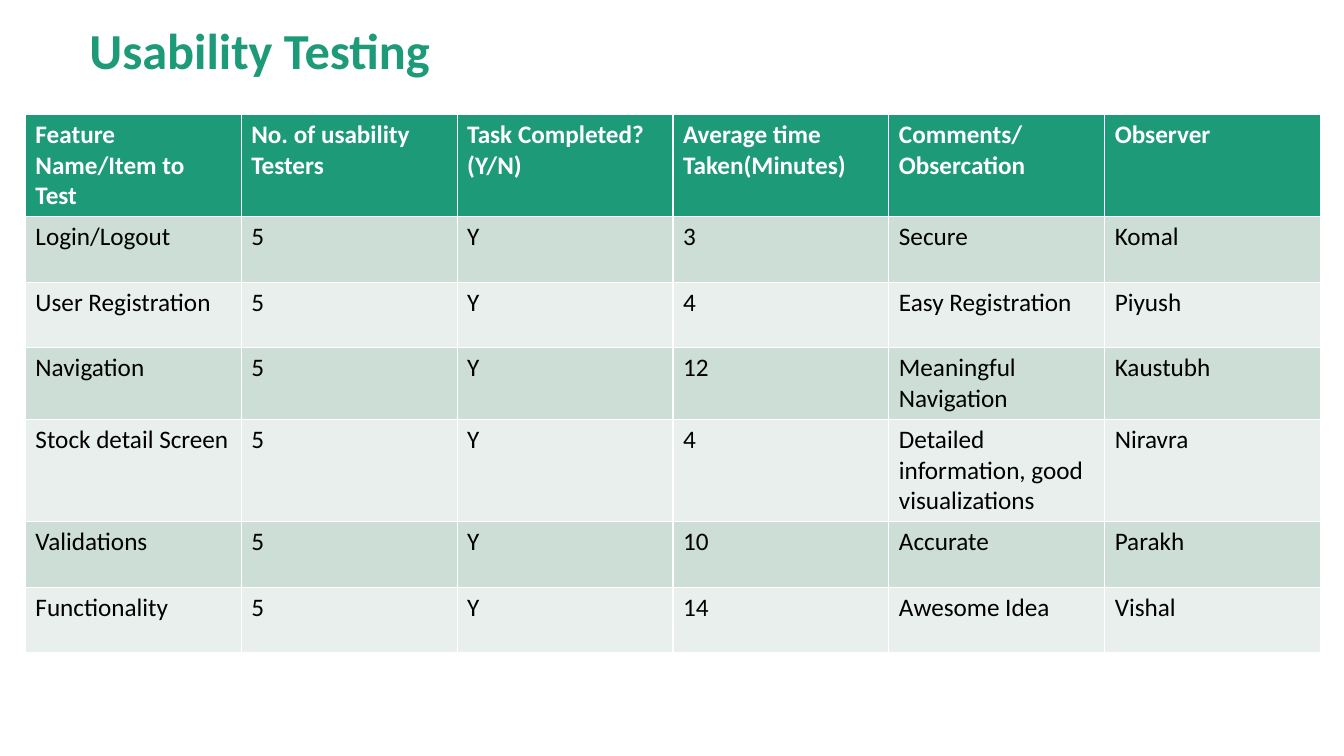
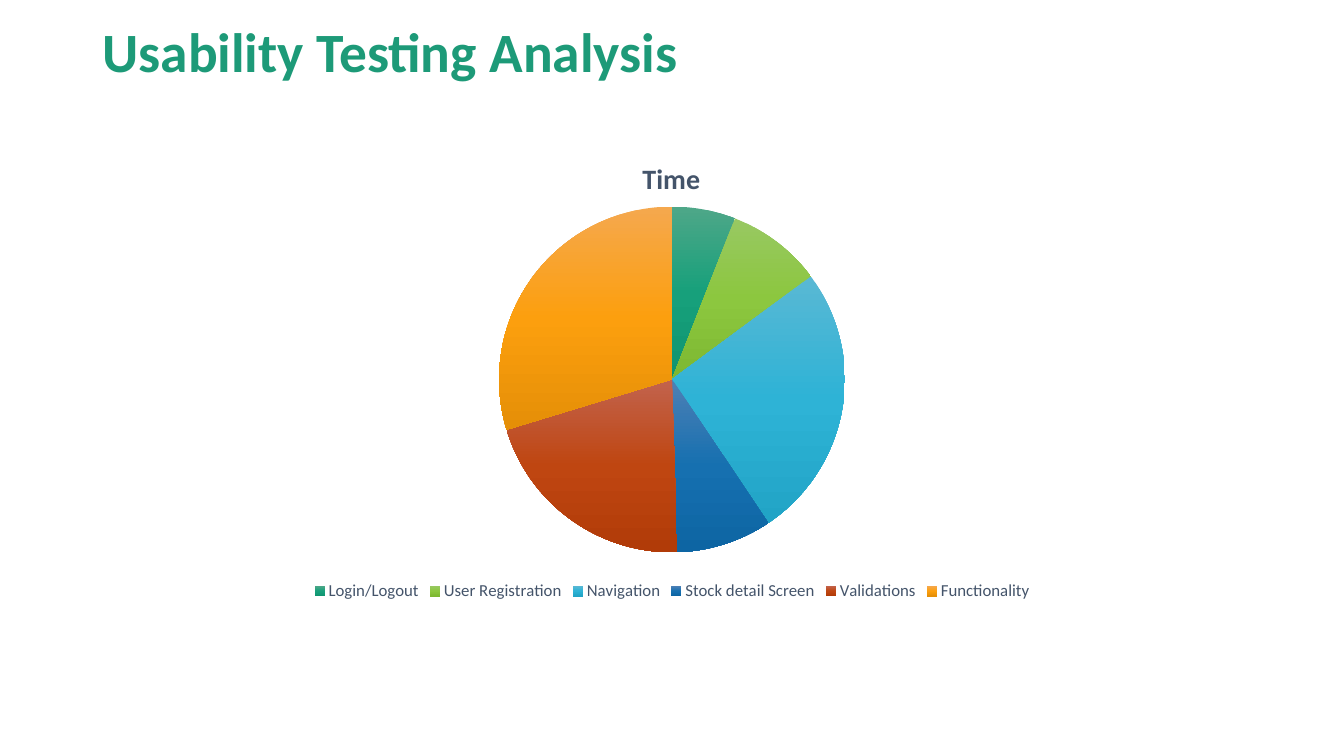
from pptx import Presentation
from pptx.chart import data as chart_data
from pptx.dml.color import RGBColor
from pptx.enum import chart as chart_enum, text
from pptx.oxml import parse_xml
from pptx.oxml.ns import nsdecls
from pptx.util import Cm, Pt

FONT = "Calibri"
GREEN = RGBColor(0x1D, 0x9A, 0x78)
BAND_DARK = RGBColor(0xCD, 0xDE, 0xD6)
BAND_LIGHT = RGBColor(0xE8, 0xEF, 0xEC)
WHITE = RGBColor(0xFF, 0xFF, 0xFF)
BLACK = RGBColor(0x00, 0x00, 0x00)
SLATE = RGBColor(0x44, 0x54, 0x6A)

HEADERS = ["Feature Name/Item to Test", "No. of usability Testers", "Task Completed?(Y/N)",
           "Average time Taken(Minutes)", "Comments/Obsercation", "Observer"]
TESTS = [
    ["Login/Logout", "5", "Y", "3", "Secure", "Komal"],
    ["User Registration", "5", "Y", "4", "Easy Registration", "Piyush"],
    ["Navigation", "5", "Y", "12", "Meaningful Navigation", "Kaustubh"],
    ["Stock detail Screen", "5", "Y", "4", "Detailed information, good visualizations", "Niravra"],
    ["Validations", "5", "Y", "10", "Accurate", "Parakh"],
    ["Functionality", "5", "Y", "14", "Awesome Idea", "Vishal"],
]
TIME_SHARES = [6, 9, 26, 9, 21, 30]
SLICE_GRADIENTS = [
    ("4EA788", "17A07B", "0F9470"),
    ("98C862", "8CC73F", "7DB831"),
    ("59B8D4", "2EB3D6", "21A4C6"),
    ("4E80B5", "1670B0", "0D65A3"),
    ("C2634D", "BF4611", "B13B08"),
    ("F5A84E", "FC9F0E", "E58F07"),
]


def style_font(font, size, color, bold=False):
    font.name = FONT
    font.size = Pt(size)
    font.bold = bold
    font.color.rgb = color


def add_titled_slide(title_text, left, top, height, size):
    slide = presentation.slides.add_slide(presentation.slide_layouts[5])
    title = slide.shapes.title
    title.left, title.top, title.width, title.height = Cm(left), Cm(top), Cm(29.21), Cm(height)
    frame = title.text_frame
    frame.text = title_text
    frame.auto_size = text.MSO_AUTO_SIZE.NONE
    frame.vertical_anchor = text.MSO_ANCHOR.MIDDLE
    paragraph = frame.paragraphs[0]
    paragraph.alignment = text.PP_ALIGN.LEFT
    paragraph.line_spacing = 0.9
    style_font(paragraph.runs[0].font, size, GREEN, True)
    return slide


presentation = Presentation()
presentation.slide_width = Cm(33.87)
presentation.slide_height = Cm(19.05)

slide = add_titled_slide("Usability Testing", 2, 0.5, 1.7, 36)
rows = [HEADERS] + TESTS
table = slide.shapes.add_table(len(rows), len(HEADERS), Cm(0.64), Cm(2.88),
                               Cm(32.64), Cm(11.55)).table
for column in table.columns:
    column.width = Cm(5.44)
for row_index, row in enumerate(rows):
    table.rows[row_index].height = Cm(1.65)
    is_header = row_index == 0
    band = BAND_DARK if row_index % 2 else BAND_LIGHT
    for column_index, value in enumerate(row):
        cell = table.cell(row_index, column_index)
        cell.fill.solid()
        cell.fill.fore_color.rgb = GREEN if is_header else band
        cell.text_frame.text = value
        style_font(cell.text_frame.paragraphs[0].runs[0].font, 18,
                   WHITE if is_header else BLACK, is_header)

slide = add_titled_slide("Usability Testing Analysis", 2.33, 0.78, 1.18, 39.6)
time_data = chart_data.CategoryChartData()
time_data.categories = [row[0] for row in TESTS]
time_data.add_series("Time", TIME_SHARES)
chart = slide.shapes.add_chart(chart_enum.XL_CHART_TYPE.PIE, Cm(2.33), Cm(3.15),
                               Cm(29.21), Cm(12.1), time_data).chart
style_font(chart.font, 10, BLACK)
chart.has_title = True
title_frame = chart.chart_title.text_frame
title_frame.text = "Time"
style_font(title_frame.paragraphs[0].runs[0].font, 20, SLATE, True)
chart.has_legend = True
chart.legend.position = chart_enum.XL_LEGEND_POSITION.BOTTOM
chart.legend.include_in_layout = False
style_font(chart.legend.font, 12, SLATE)

plot = chart.plots[0]
plot.vary_by_categories = True
for index, colors in enumerate(SLICE_GRADIENTS):
    plot.series[0].points[index].format.line.fill.background()
    stops = "".join(f'<a:gs pos="{position}"><a:srgbClr val="{color}"/></a:gs>'
                    for position, color in zip((0, 50000, 100000), colors))
    gradient = parse_xml(f'<a:gradFill {nsdecls("a")} rotWithShape="1"><a:gsLst>{stops}</a:gsLst>'
                         '<a:lin ang="5400000" scaled="0"/></a:gradFill>')
    chart._chartSpace.xpath(".//c:dPt/c:spPr")[index].insert(0, gradient)

LAYOUTS = [
    ("c:title", '<c:xMode val="edge"/><c:yMode val="edge"/><c:x val="0.47"/><c:y val="0.06"/>'),
    ("c:plotArea", '<c:layoutTarget val="inner"/><c:xMode val="edge"/><c:yMode val="edge"/>'
                   '<c:x val="0.35"/><c:y val="0.17"/><c:w val="0.3"/><c:h val="0.72"/>'),
]
for tag, settings in LAYOUTS:
    element = chart._chartSpace.xpath(f"c:chart/{tag}")[0]
    for old_layout in element.xpath("c:layout"):
        element.remove(old_layout)
    layout = parse_xml(f'<c:layout {nsdecls("c")}><c:manualLayout>{settings}'
                       '</c:manualLayout></c:layout>')
    element.insert(1 if tag == "c:title" else 0, layout)

presentation.save("out.pptx")
